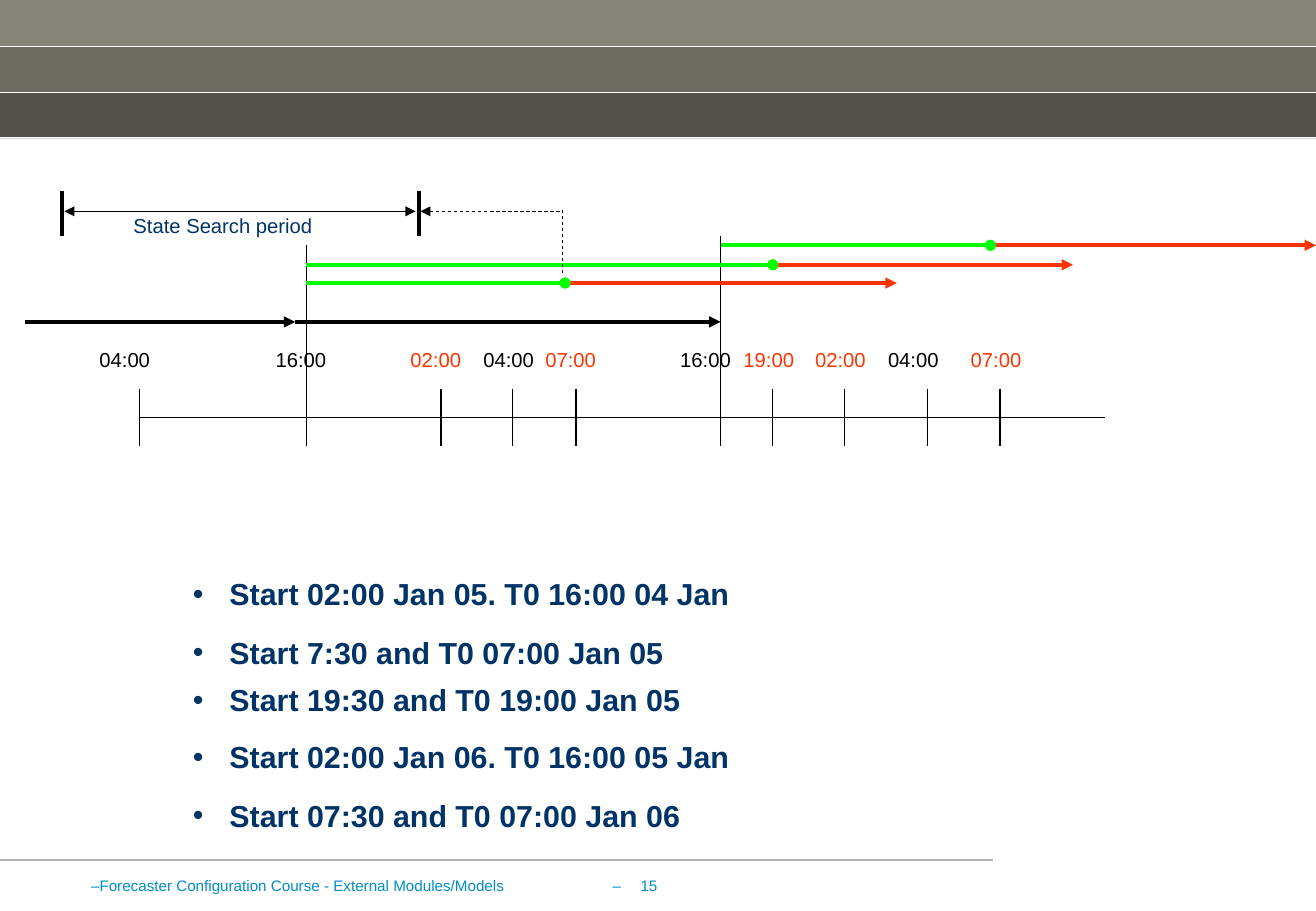
import pptx
import pptx.dml.color
import pptx.enum.dml
import pptx.enum.shapes
import pptx.enum.text
import pptx.oxml
import pptx.oxml.ns
import pptx.util

Inches, Pt = pptx.util.Inches, pptx.util.Pt
qn = pptx.oxml.ns.qn
ALIGN = pptx.enum.text.PP_ALIGN
COLORS = {
    "band": "A6A698", "black": "000000", "white": "FFFFFF", "rule": "B2B2B2",
    "footer": "008FC5", "navy": "003366", "red": "FF3300", "green": "00FF00",
}


def add_xml(parent, tag, **attrs):
    """Append an empty DrawingML element with the given attributes."""
    el = pptx.oxml.parse_xml(f'<a:{tag} {pptx.oxml.ns.nsdecls("a")}/>')
    for name, value in attrs.items():
        el.set(name, value)
    parent.append(el)
    return el


class Canvas:
    """The current slide and the style of its elements."""
    font = "Arial"

    def __init__(self, slide):
        self.shapes = slide.shapes

    def color(self, name):
        return pptx.dml.color.RGBColor.from_string(COLORS[name])

    def band(self, y, w, h, color, alpha=None):
        s = self.shapes.add_shape(pptx.enum.shapes.MSO_SHAPE.RECTANGLE,
                                  0, Inches(y), Inches(w), Inches(h))
        s.shadow.inherit = False
        s.fill.solid()
        s.fill.fore_color.rgb = self.color(color)
        s.line.fill.background()
        if alpha:
            clr = s._element.spPr.find(qn("a:solidFill"))[0]
            add_xml(clr, "alpha", val=str(alpha * 1000))

    def line(self, x1, y1, x2, y2, color="black", width=0.75,
             head=None, tail=None, dash=False):
        c = self.shapes.add_connector(
            pptx.enum.shapes.MSO_CONNECTOR.STRAIGHT,
            Inches(x1), Inches(y1), Inches(x2), Inches(y2))
        c.line.color.rgb = self.color(color)
        c.line.width = Pt(width)
        if dash:
            c.line.dash_style = pptx.enum.dml.MSO_LINE.DASH
        for tag, kind in (("headEnd", head), ("tailEnd", tail)):
            if kind:
                add_xml(c.line._get_or_add_ln(), tag, type=kind)
        add_xml(c._element.spPr, "effectLst")

    def text(self, x, y, w, h, text, size, color, bold=False, inset=True,
             align=ALIGN.LEFT, spacing=None, bullet=None, indent=0):
        s = self.shapes.add_textbox(Inches(x), Inches(y), Inches(w), Inches(h))
        tf = s.text_frame
        tf.word_wrap = True
        if not inset:
            tf.margin_left = tf.margin_right = tf.margin_top = tf.margin_bottom = 0
        p = tf.paragraphs[0]
        p.alignment = align
        if spacing:
            p.line_spacing = spacing
        if bullet:
            pPr = p._p.get_or_add_pPr()
            pPr.set("marL", str(Inches(indent)))
            pPr.set("indent", str(-Inches(indent)))
            add_xml(pPr, "buFont", typeface=self.font)
            add_xml(pPr, "buChar", char=bullet)
        r = p.add_run()
        r.text = text
        r.font.name = self.font
        r.font.size = Pt(size)
        r.font.bold = bold
        r.font.color.rgb = self.color(color)


def draw_frame(c):
    """Banded header and footer."""
    band_h = 0.38
    c.band(0, 10.83, 1.13, "band")
    for i, alpha in enumerate((20, 35, 50)):
        c.band(i * band_h, 10.83, band_h, "black", alpha)
    for y in (0.38, 0.76, 1.13):
        c.line(0, y, 10.83, y, "white")
    c.line(8.17, 7.08, 0, 7.08, "rule")
    footer = dict(size=9, color="footer", inset=False, spacing=0.92, bullet="–")
    c.text(0.75, 7.23, 4.2, 0.35,
           "Forecaster Configuration Course - External Modules/Models", **footer)
    c.text(4.9, 7.23, 0.51, 0.35, "15", align=ALIGN.RIGHT, indent=0.23, **footer)


def draw_time_axis(c):
    axis_y, tick_top, tick_bottom = 3.44, 3.2, 3.67
    c.line(1.15, axis_y, 9.09, axis_y)
    # time, tick x, label x, top of tick, label colour
    ticks = [
        ("04:00", 1.15, 0.72, tick_top, "black"),
        ("16:00", 2.52, 2.17, 2.02, "black"),
        ("02:00", 3.63, 3.28, tick_top, "red"),
        ("04:00", 4.22, 3.88, tick_top, "black"),
        ("07:00", 4.74, 4.39, tick_top, "red"),
        ("16:00", 5.93, 5.5, 1.94, "black"),
        ("19:00", 6.36, 6.02, tick_top, "red"),
        ("02:00", 6.95, 6.61, tick_top, "red"),
        ("04:00", 7.63, 7.21, tick_top, "black"),
        ("07:00", 8.23, 7.89, tick_top, "red"),
    ]
    for time, x, label_x, top, color in ticks:
        c.line(x, top, x, tick_bottom)
        c.text(label_x, 2.81, 0.67, 0.3, time, 12, color)


def draw_runs(c):
    """Black state runs, then green updates that turn into red forecasts."""
    for x1, x2 in ((0.21, 2.43), (2.43, 5.93)):
        c.line(x1, 2.65, x2, 2.65, width=2.25, tail="triangle")
    for y, start, t0, end in ((2.18, 2.52, 6.36, 8.83),
                              (2.02, 5.93, 8.15, 10.83),
                              (2.33, 2.52, 4.65, 7.38)):
        c.line(start, y, end, y, "red", 2.25, tail="triangle")
        c.line(start, y, t0, y, "green", 2.25, tail="oval")


def draw_search_period(c):
    for x in (0.51, 3.45):
        c.line(x, 1.94, x, 1.57, width=2.25)
    c.line(0.53, 1.74, 3.42, 1.74, head="triangle", tail="triangle")
    c.text(1, 1.71, 1.81, 0.3, "State Search period", 12, "navy")
    c.line(4.63, 2.25, 4.63, 1.73, width=0.5, dash=True)
    c.line(3.46, 1.74, 4.63, 1.74, width=0.5, head="triangle", dash=True)


def draw_start_times(c):
    for y, text in ((4.69, "Start 02:00 Jan 05. T0 16:00 04 Jan"),
                    (5.17, "Start 7:30 and T0 07:00 Jan 05"),
                    (5.56, "Start 19:30 and T0 19:00 Jan 05"),
                    (6.03, "Start 02:00 Jan 06. T0 16:00 05 Jan"),
                    (6.51, "Start 07:30 and T0 07:00 Jan 06")):
        c.text(1.49, y, 4.84, 0.4, text, 18, "navy", bold=True,
               bullet="•", indent=0.3)


def main():
    prs = pptx.Presentation()
    prs.slide_width, prs.slide_height = Inches(10.83), Inches(7.5)
    c = Canvas(prs.slides.add_slide(prs.slide_layouts[6]))
    draw_frame(c)
    draw_time_axis(c)
    draw_runs(c)
    draw_start_times(c)
    draw_search_period(c)
    prs.save("out.pptx")


if __name__ == "__main__":
    main()
